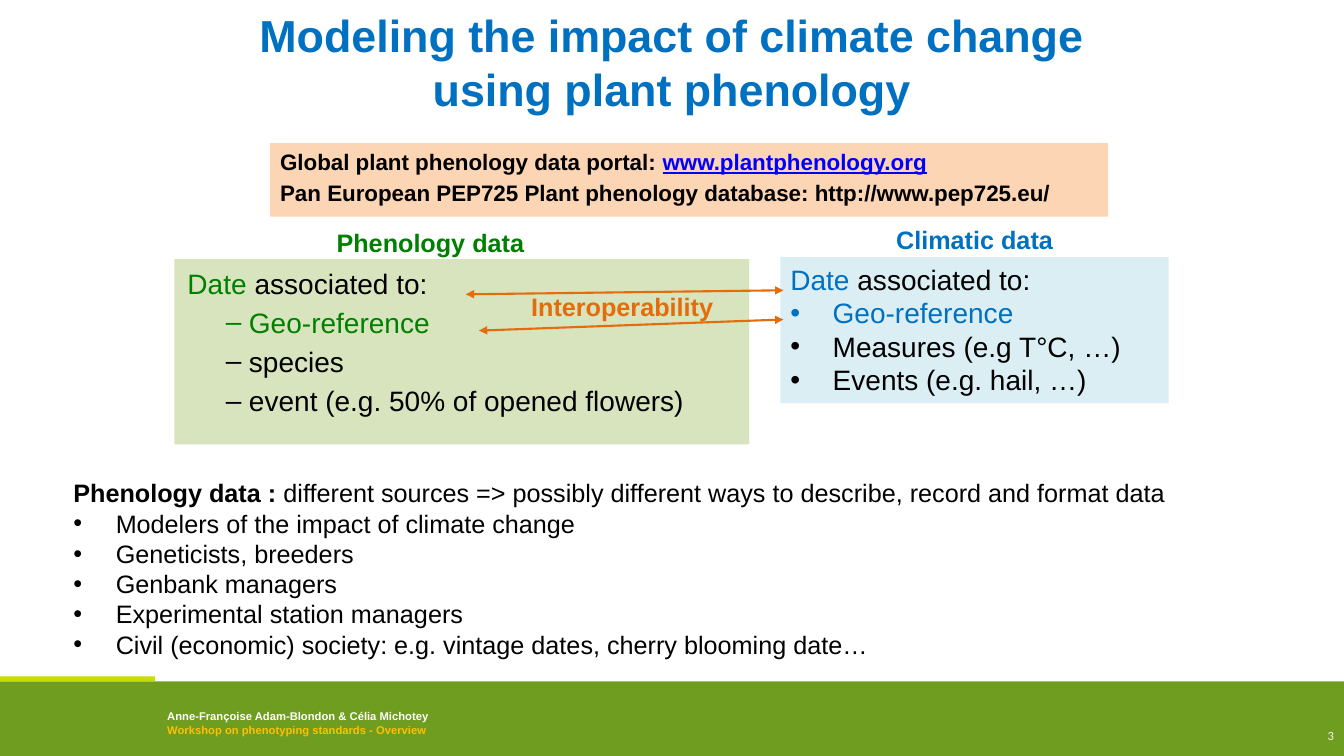
from dataclasses import dataclass

from lxml import etree
from pptx import Presentation
from pptx.dml.color import RGBColor
from pptx.enum.shapes import MSO_CONNECTOR, MSO_SHAPE
from pptx.enum.text import MSO_ANCHOR, PP_ALIGN
from pptx.oxml.ns import qn
from pptx.util import Inches, Pt

RECT = MSO_SHAPE.RECTANGLE
STRAIGHT = MSO_CONNECTOR.STRAIGHT
TOP, MIDDLE = MSO_ANCHOR.TOP, MSO_ANCHOR.MIDDLE
LEFT, CENTER, RIGHT = PP_ALIGN.LEFT, PP_ALIGN.CENTER, PP_ALIGN.RIGHT


@dataclass(frozen=True)
class Theme:
    font: str = "Arial"
    number_font: str = "Calibri"
    black: str = "000000"
    white: str = "FFFFFF"
    blue: str = "0070C0"
    green: str = "008000"
    orange: str = "E46C0A"
    link: str = "0000FF"
    gold: str = "FFC000"
    pale_grey: str = "F2F2F2"
    band: str = "6F9D20"
    accent: str = "C5DD01"
    peach: str = "FCD5B5"
    pale_green: str = "D7E4BD"
    pale_blue: str = "DBEEF4"
    title_size: int = 32
    box_size: int = 20
    body_size: int = 18
    portal_size: int = 16
    number_size: int = 9
    footer_size: int = 8


T = Theme()


def run(text, color=T.black, bold=False, underline=False):
    return text, color, bold, underline


def set_bullet(p, char, margin, indent):
    pPr = p._p.get_or_add_pPr()
    pPr.set("marL", str(Inches(margin)))
    pPr.set("indent", str(Inches(indent)))
    etree.SubElement(pPr, qn("a:buFont"), typeface=T.font)
    etree.SubElement(pPr, qn("a:buChar"), char=char)


def write(sp, paragraphs, size, font=T.font, align=LEFT, anchor=TOP,
          gap=0, bullet=None, inset=(0.1, 0.05)):
    """Fill a shape with lists of runs; bullet applies after the first one."""
    tf = sp.text_frame
    tf.word_wrap = True
    tf.vertical_anchor = anchor
    tf.margin_left = tf.margin_right = Inches(inset[0])
    tf.margin_top = tf.margin_bottom = Inches(inset[1])
    for i, runs in enumerate(paragraphs):
        p = tf.add_paragraph() if i else tf.paragraphs[0]
        p.alignment = align
        p.space_before = Pt(gap if i else 0)
        if i and bullet:
            set_bullet(p, *bullet)
        for text, color, bold, underline in runs:
            r = p.add_run()
            r.text = text
            r.font.name = font
            r.font.size = Pt(size)
            r.font.bold = bold
            r.font.underline = underline
            r.font.color.rgb = RGBColor.from_string(color)


def add_box(s, at, fill):
    sp = s.shapes.add_shape(RECT, *map(Inches, at))
    sp.shadow.inherit = False
    sp.fill.solid()
    sp.fill.fore_color.rgb = RGBColor.from_string(fill)
    sp.line.fill.background()
    return sp


def add_text(s, at, paragraphs, size, **options):
    write(s.shapes.add_textbox(*map(Inches, at)), paragraphs, size, **options)


def add_title(s, at, text):
    sp = s.shapes.title
    sp.left, sp.top, sp.width, sp.height = map(Inches, at)
    write(sp, [[run(text, T.blue, True)]], T.title_size,
          align=CENTER, anchor=MIDDLE)


def add_double_arrow(s, start, end):
    cx = s.shapes.add_connector(STRAIGHT, *map(Inches, start + end))
    cx.line.color.rgb = RGBColor.from_string(T.orange)
    cx.line.width = Pt(1.5)
    ln = cx.line._get_or_add_ln()
    for tag in ("a:headEnd", "a:tailEnd"):
        etree.SubElement(ln, qn(tag), type="triangle")
    etree.SubElement(cx._element.spPr, qn("a:effectLst"))


def add_footer(s):
    add_box(s, (0, 6.76, 13.33, 0.74), T.band)
    add_box(s, (0, 6.71, 1.54, 0.05), T.accent)
    add_text(s, (1.56, 6.99, 4.52, 0.37), [
        [run("Anne-Françoise Adam-Blondon & Célia Michotey", T.white, True)],
        [run("Workshop on phenotyping standards - Overview", T.gold, True)],
    ], T.footer_size)
    add_text(s, (10.22, 7.1, 3.11, 0.4), [[run("3", T.pale_grey)]],
             T.number_size, font=T.number_font, align=RIGHT, anchor=MIDDLE)


def main():
    prs = Presentation()
    prs.slide_width, prs.slide_height = Inches(13.33), Inches(7.5)
    s = prs.slides.add_slide(prs.slide_layouts[5])
    dot = ("•", 0.42, -0.42)
    dash = ("–", 0.61, -0.23)

    add_footer(s)
    add_title(s, (1.83, 0, 9.67, 1.22),
              "Modeling the impact of climate change using plant phenology")

    portals = add_box(s, (2.68, 1.42, 8.31, 0.73), T.peach)
    write(portals, [
        [run("Global plant phenology data portal: ", bold=True),
         run("www.plantphenology.org", T.link, True, True)],
        [run("Pan European PEP725 Plant phenology database: "
             "http://www.pep725.eu/", bold=True)],
    ], T.portal_size, gap=3.2)

    phenology = add_box(s, (1.73, 2.57, 5.7, 1.84), T.pale_green)
    write(phenology, [
        [run("Date ", T.green), run("associated to:")],
        [run("Geo-reference", T.green)],
        [run("species")],
        [run("event (e.g. 50% of opened flowers)")],
    ], T.box_size, gap=4, bullet=dash, inset=(0.13, 0.07))

    sources = add_box(s, (0.63, 4.69, 12.4, 1.92), T.white)
    groups = ("Modelers of the impact of climate change",
              "Geneticists, breeders",
              "Genbank managers",
              "Experimental station managers",
              "Civil (economic) society: e.g. vintage dates, "
              "cherry blooming date…")
    write(sources, [
        [run("Phenology data : ", bold=True),
         run("different sources => possibly different ways to describe, "
             "record and format data")],
        *([run(group)] for group in groups),
    ], T.body_size, bullet=dot)

    climate = add_box(s, (7.74, 2.55, 3.85, 1.45), T.pale_blue)
    write(climate, [
        [run("Date ", T.blue), run("associated to:")],
        [run("Geo-reference", T.blue)],
        [run("Measures (e.g T°C, …)")],
        [run("Events (e.g. hail, …)")],
    ], T.box_size, bullet=dot)

    for left, top, label, color in (
            (5.17, 2.84, "Interoperability", T.orange),
            (3.24, 2.21, "Phenology data", T.green),
            (8.79, 2.18, "Climatic data", T.blue)):
        add_text(s, (left, top, 2.57, 0.42), [[run(label, color, True)]],
                 T.body_size)

    add_double_arrow(s, (4.62, 2.92), (7.77, 2.88))
    add_double_arrow(s, (4.75, 3.28), (7.77, 3.17))
    prs.save("out.pptx")


if __name__ == "__main__":
    main()
